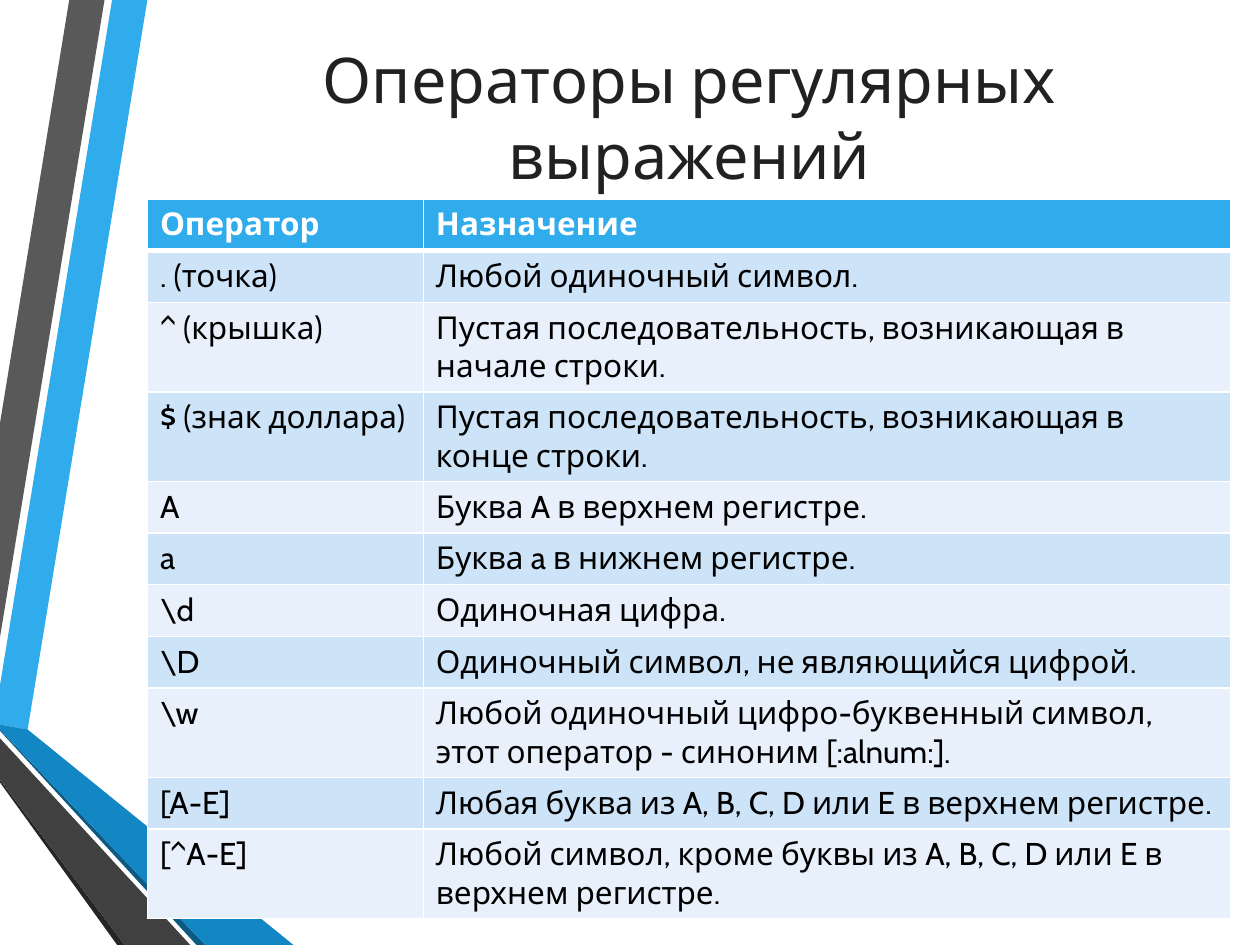
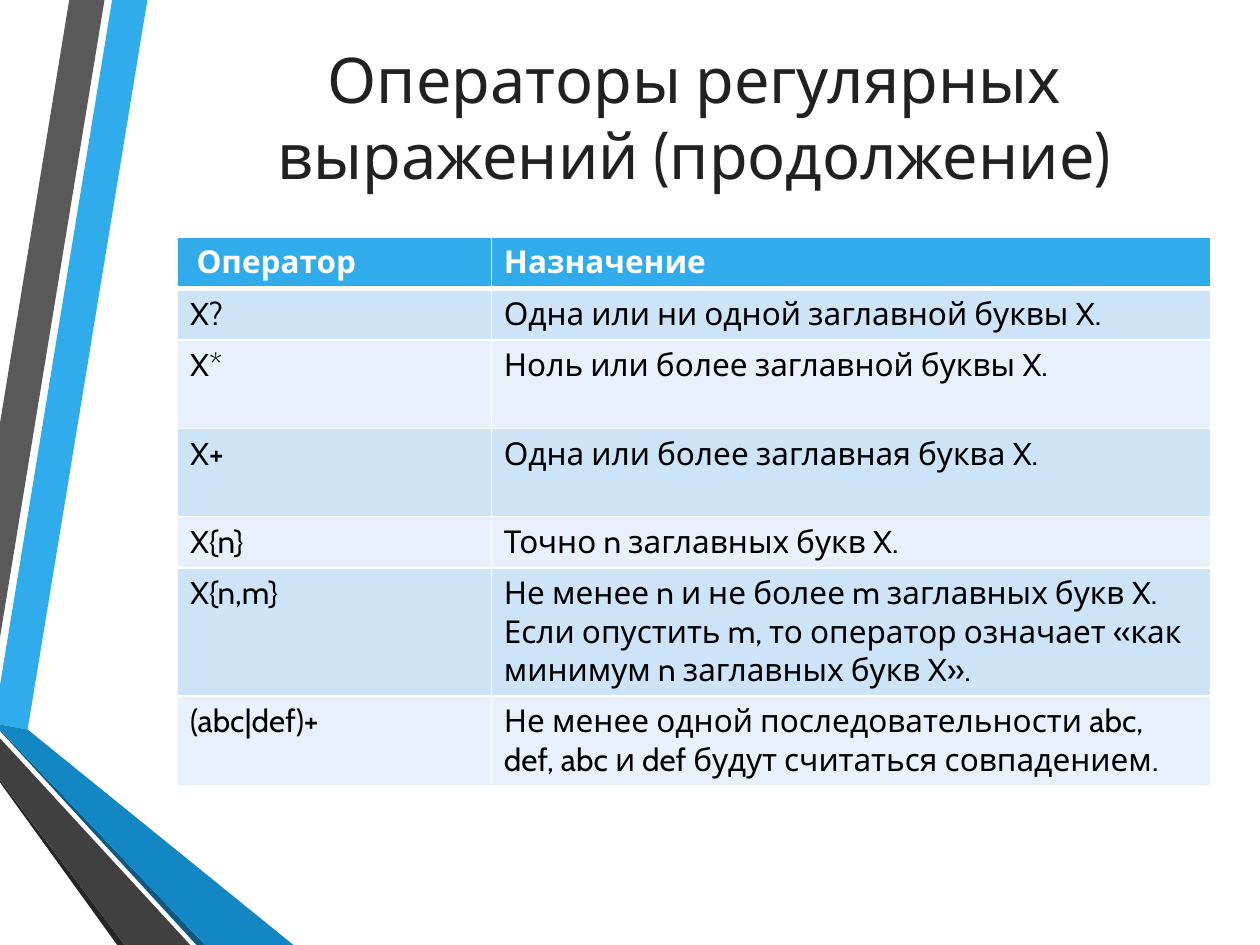
import dataclasses

import lxml.etree
import pptx
import pptx.dml.color
import pptx.enum.text
import pptx.oxml
import pptx.oxml.ns
import pptx.util

Inches = pptx.util.Inches
Pt = pptx.util.Pt


@dataclasses.dataclass(frozen=True)
class Theme:
    font: str = "Cabin"
    title_size: int = 36
    table_size: int = 18
    title: str = "212121"
    text: str = "000000"
    white: str = "FFFFFF"
    header: str = "30ACEC"
    stripes: tuple = ("CDE3F8", "E8F1FB")
    line: int = 1
    header_line: int = 3


# Ribbons at the left edge, from back to front: colour and corner points
RIBBONS = [
    ("30ACEC", [(0, 5.44), (0, 5.75), (0.22, 5.79), (1.17, 0), (0.89, 0)]),
    ("595959", [(0.83, 0), (0.55, 0), (0, 3.36), (0, 5.06)]),
    ("262626", [(0, 6.19), (0, 6.21), (0.93, 7.5), (0.99, 7.5)]),
    ("0C5A82", [(0, 5.79), (0, 5.8), (1.56, 7.5), (1.63, 7.5)]),
    ("1287C3", [(0, 5.79), (1.63, 7.5), (2.33, 7.5), (0.22, 5.79), (0, 5.75)]),
    ("404040", [(0, 6.19), (0.99, 7.5), (1.51, 7.5), (0, 5.86)]),
]

HEADINGS = ("Оператор", "Назначение")

OPERATORS = [
    (". (точка)", "Любой одиночный символ."),
    ("^ (крышка)", "Пустая последовательность, возникающая в начале строки."),
    ("$ (знак доллара)", "Пустая последовательность, возникающая в конце строки."),
    ("A", "Буква A в верхнем регистре."),
    ("a", "Буква a в нижнем регистре."),
    (r"\d", "Одиночная цифра."),
    (r"\D", "Одиночный символ, не являющийся цифрой."),
    (r"\w", "Любой одиночный цифро-буквенный символ, этот оператор - синоним [:alnum:]."),
    ("[A-E]", "Любая буква из A, B, C, D или E в верхнем регистре."),
    ("[^A-E]", "Любой символ, кроме буквы из A, B, C, D или E в верхнем регистре."),
]

QUANTIFIERS = [
    ("X?", "Одна или ни одной заглавной буквы X."),
    ("X*", "Ноль или более заглавной буквы X."),
    ("X+", "Одна или более заглавная буква X."),
    ("X{n}", "Точно n заглавных букв X."),
    ("X{n,m}", "Не менее n и не более m заглавных букв X. Если опустить m, "
               "то оператор означает «как минимум n заглавных букв X»."),
    ("(abc|def)+", "Не менее одной последовательности abc, def, abc и def "
                   "будут считаться совпадением."),
]


def rgb(color):
    return pptx.dml.color.RGBColor.from_string(color)


class Deck:
    def __init__(self, theme):
        self.theme = theme
        self.prs = pptx.Presentation()
        self.prs.slide_width, self.prs.slide_height = Inches(10), Inches(7.5)
        self.layout = self.prs.slide_layouts[5]
        self.slide = None

    def add_slide(self):
        first = self.slide is None
        if first:
            # The layout keeps only its title
            for ph in list(self.layout.placeholders):
                if ph.placeholder_format.idx != 0:
                    ph.element.getparent().remove(ph.element)
        self.slide = self.prs.slides.add_slide(self.layout)
        if first:
            self.add_ribbons()

    def add_ribbons(self):
        """Draw the ribbons once and move them behind the layout's title."""
        tree = self.layout.shapes.element
        for i, (color, points) in enumerate(RIBBONS):
            corners = [(Inches(x), Inches(y)) for x, y in points]
            builder = self.slide.shapes.build_freeform(*corners[0])
            builder.add_line_segments(corners[1:], close=True)
            sp = builder.convert_to_shape()
            sp.shadow.inherit = False
            sp.fill.solid()
            sp.fill.fore_color.rgb = rgb(color)
            sp.line.fill.background()
            tree.insert(2 + i, sp.element)

    def style(self, p, size, color, bold=False):
        p.font.name = self.theme.font
        p.font.size = Pt(size)
        p.font.color.rgb = rgb(color)
        p.font.bold = bold

    def add_title(self, text, left, width):
        sp = self.slide.shapes.title
        sp.left, sp.top = Inches(left), Inches(0.3)
        sp.width, sp.height = Inches(width), Inches(1.25)
        tf = sp.text_frame
        tf.text = text
        tf.word_wrap = True
        tf.auto_size = pptx.enum.text.MSO_AUTO_SIZE.NONE
        tf.vertical_anchor = pptx.enum.text.MSO_ANCHOR.MIDDLE
        p = tf.paragraphs[0]
        p.alignment = pptx.enum.text.PP_ALIGN.CENTER
        self.style(p, self.theme.title_size, self.theme.title)

    def add_border(self, cell, side, width):
        props = cell._tc.get_or_add_tcPr()
        qn = pptx.oxml.ns.qn
        ln = lxml.etree.SubElement(props, qn(f"a:ln{side}"), w=str(Pt(width)))
        fill = lxml.etree.SubElement(ln, qn("a:solidFill"))
        lxml.etree.SubElement(fill, qn("a:srgbClr"), val=self.theme.white)

    def add_table(self, body, left, top, col_widths, row_heights, height, header_inset=0.1):
        theme = self.theme
        rows = [HEADINGS, *body]
        frame = self.slide.shapes.add_table(
            len(rows), len(col_widths), Inches(left), Inches(top),
            Inches(sum(col_widths)), Inches(height))
        table = frame.table
        for column, width in zip(table.columns, col_widths):
            column.width = Inches(width)
        for row, row_height in zip(table.rows, row_heights):
            row.height = Inches(row_height)
        frame.height = Inches(height)  # rows grow with wrapped text

        for i, texts in enumerate(rows):
            header = i == 0
            fill = theme.header if header else theme.stripes[(i - 1) % 2]
            color = theme.white if header else theme.text
            for j, text in enumerate(texts):
                cell = table.cell(i, j)
                cell.text = text
                self.style(cell.text_frame.paragraphs[0], theme.table_size, color, header)
                # The line under the header is heavier
                widths = {"L": theme.line, "R": theme.line,
                          "T": theme.header_line if i == 1 else theme.line,
                          "B": theme.header_line if header else theme.line}
                for side, width in widths.items():
                    self.add_border(cell, side, width)
                cell.fill.solid()
                cell.fill.fore_color.rgb = rgb(fill)
        table.cell(0, 0).margin_left = Inches(header_inset)


def main():
    deck = Deck(Theme())

    # Basic operators
    deck.add_slide()
    deck.add_title("Операторы регулярных выражений", left=1.17, width=8.6)
    deck.add_table(OPERATORS, left=1.17, top=1.58, col_widths=(2.19, 6.41),
                   row_heights=[0.41] * (len(OPERATORS) + 1), height=5.64)

    # Quantifiers and groups
    deck.add_slide()
    deck.add_title("Операторы регулярных выражений (продолжение)", left=1.25, width=8.52)
    deck.add_table(QUANTIFIERS, left=1.41, top=1.88, col_widths=(2.49, 5.71),
                   row_heights=[0.41, 0.41, 0.7, 0.7, 0.41, 1, 0.7], height=4.32,
                   header_inset=0.15)

    deck.prs.save("out.pptx")


if __name__ == "__main__":
    main()
